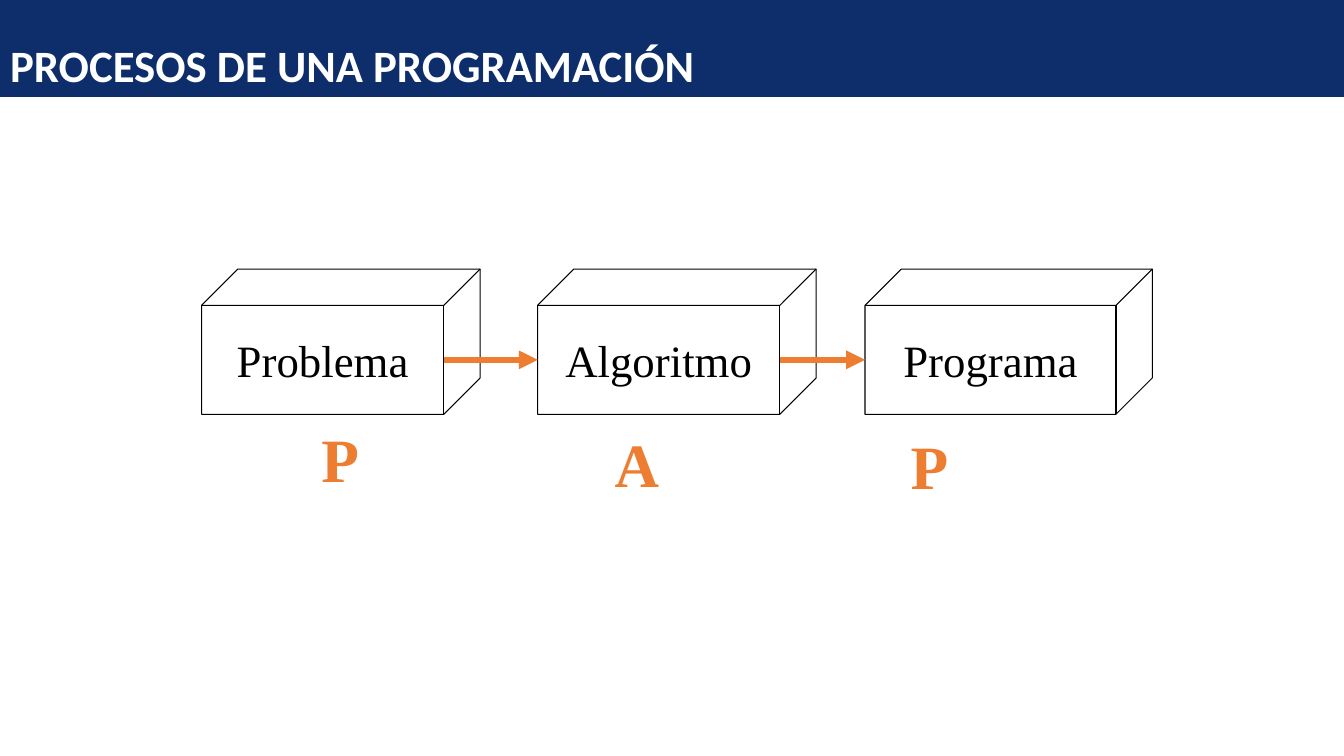
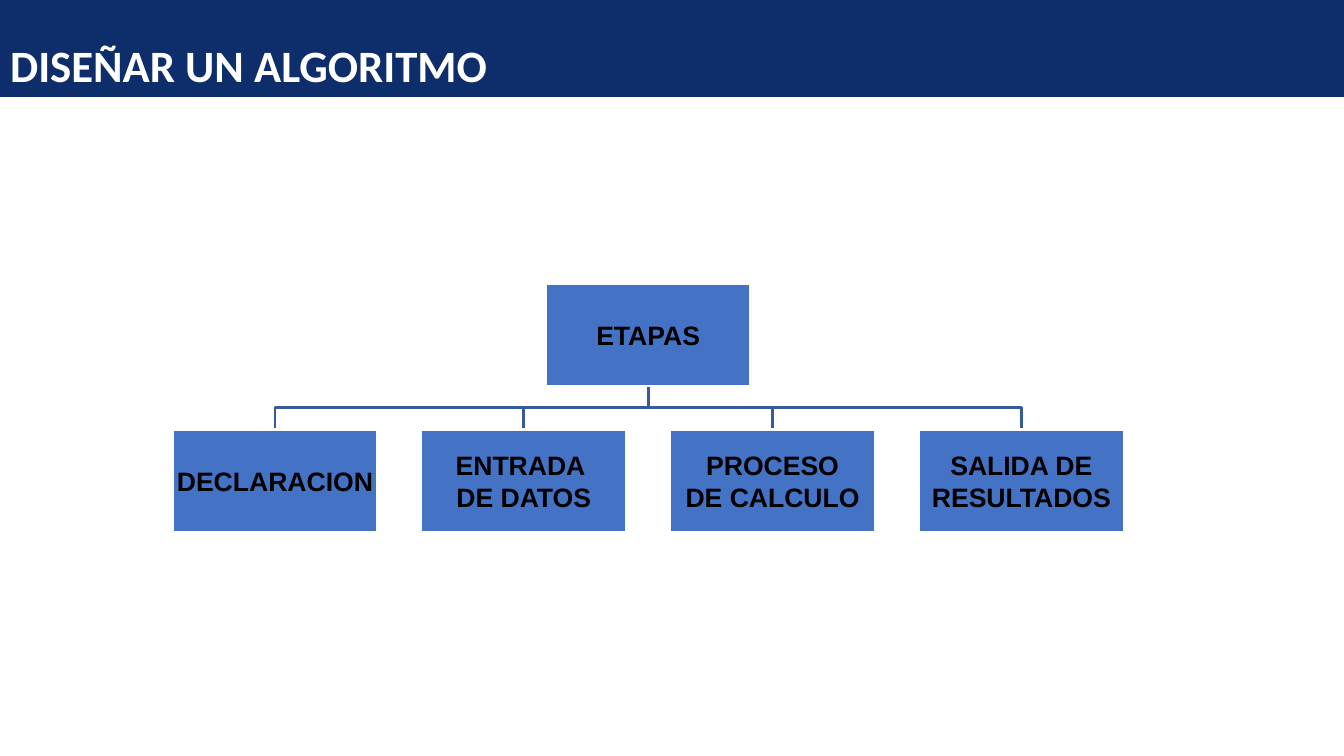
from lxml.etree import SubElement
from pptx import Presentation
from pptx.dml.color import RGBColor
from pptx.enum.shapes import MSO_CONNECTOR as LINE, MSO_SHAPE as SHAPE
from pptx.enum.text import MSO_ANCHOR as ANCHOR, MSO_AUTO_SIZE as FIT, PP_ALIGN as ALIGN
from pptx.oxml.ns import qn
from pptx.util import Cm, Pt

COLORS = {"band": "0D2D6B", "white": "FFFFFF", "black": "000000",
          "accent": "ED7D31", "box": "4472C4", "branch": "365B9D"}

TITLE_FONT = {"name": "Calibri", "size": Pt(32), "bold": True}
CUBE_FONT = {"name": "Times New Roman", "size": Pt(32)}
LETTER_FONT = {"name": "Times New Roman", "size": Pt(44), "bold": True}
STAGE_FONT = {"name": "Arial", "size": Pt(19), "bold": True}

PROCESS_TITLE = "PROCESOS DE UNA PROGRAMACIÓN"
CUBES = [("Problema", 5.08, 7.02), ("Algoritmo", 13.55, 7.02), ("Programa", 21.8, 7.24)]
LETTERS = [("P", 7.85, 10.49, 1.45), ("A", 15.24, 10.6, 1.62), ("P", 22.7, 10.65, 1.45)]
CUBE_TOP, CUBE_H, DEPTH = 6.78, 3.66, 0.25

STAGES_TITLE = "DISEÑAR UN ALGORITMO"
ROOT = ["ETAPAS"]
STAGES = [["DECLARACION"], ["ENTRADA ", "DE DATOS"],
          ["PROCESO", "DE CALCULO"], ["SALIDA DE", "RESULTADOS"]]
BOX_W, BOX_H, PITCH = 5.18, 2.59, 6.27
TREE_LEFT, ROOT_TOP, STAGE_TOP = 4.34, 7.14, 10.82

SLIDE_W, SLIDE_H, BAND_H = 33.87, 19.05, 2.44


def rgb(name):
    return RGBColor.from_string(COLORS[name])


def apply(target, values):
    for key, value in values.items():
        setattr(target, key, value)


def paint(sp, fill=None, line=None, width=1):
    if fill:
        sp.fill.solid()
        sp.fill.fore_color.rgb = rgb(fill)
    else:
        sp.fill.background()
    if line:
        sp.line.color.rgb = rgb(line)
        sp.line.width = Pt(width)
    else:
        sp.line.fill.background()
    sp.shadow.inherit = False


def write(sp, lines, font, color, align=ALIGN.CENTER, frame=None, spacing=None):
    tf = sp.text_frame
    apply(tf, {"vertical_anchor": ANCHOR.MIDDLE, "auto_size": FIT.NONE,
               "word_wrap": True, **(frame or {})})
    for i, line in enumerate(lines):
        p = tf.paragraphs[0] if i == 0 else tf.add_paragraph()
        apply(p, {"alignment": align, "line_spacing": spacing})
        r = p.add_run()
        r.text = line
        apply(r.font, font)
        r.font.color.rgb = rgb(color)


def add_titled(prs, title):
    s = prs.slides.add_slide(prs.slide_layouts[5])
    sp = s.shapes.title
    apply(sp, {"left": Cm(0), "top": Cm(1.12), "width": Cm(33.73), "height": Cm(1.19)})
    write(sp, [title], TITLE_FONT, "white", ALIGN.LEFT, spacing=0.9)
    return s


def add_layout_band(s):
    band = s.shapes.add_shape(SHAPE.RECTANGLE, 0, 0, Cm(SLIDE_W), Cm(BAND_H))
    paint(band, "band")
    s.slide_layout.shapes.element.insert(2, band.element)


def add_arrow(s, x1, x2, y):
    arrow = s.shapes.add_connector(LINE.STRAIGHT, Cm(x1), Cm(y), Cm(x2), Cm(y))
    arrow.line.color.rgb = rgb("accent")
    arrow.line.width = Pt(4.5)
    SubElement(arrow.line._get_or_add_ln(), qn("a:tailEnd"), type="triangle")
    SubElement(arrow.element.spPr, qn("a:effectLst"))


def add_process(s):
    for text, x, w in CUBES:
        sp = s.shapes.add_shape(SHAPE.CUBE, Cm(x), Cm(CUBE_TOP), Cm(w), Cm(CUBE_H))
        sp.adjustments[0] = DEPTH
        paint(sp, line="black", width=0.75)
        write(sp, [text], CUBE_FONT, "black", frame={"word_wrap": False})
    for text, x, y, w in LETTERS:
        sp = s.shapes.add_textbox(Cm(x), Cm(y), Cm(w), Cm(2.11))
        write(sp, [text], LETTER_FONT, "accent", ALIGN.LEFT,
              {"word_wrap": False, "vertical_anchor": ANCHOR.TOP,
               "auto_size": FIT.SHAPE_TO_FIT_TEXT})
    front_middle = CUBE_TOP + CUBE_H * (1 + DEPTH) / 2
    for (_, x, w), (_, next_x, _) in zip(CUBES, CUBES[1:]):
        add_arrow(s, x + w - CUBE_H * DEPTH, next_x, front_middle)


def add_branch(s, x1, y1, x2, y2):
    middle = (y1 + y2) / 2
    points = [(x1, middle), (x2, middle), (x2, y2)]
    builder = s.shapes.build_freeform(Cm(x1), Cm(y1))
    builder.add_line_segments([(Cm(x), Cm(y)) for x, y in points], close=False)
    paint(builder.convert_to_shape(), line="branch", width=2)


def add_box(s, lines, x, y):
    sp = s.shapes.add_shape(SHAPE.RECTANGLE, Cm(x), Cm(y), Cm(BOX_W), Cm(BOX_H))
    paint(sp, "box", "white", 2)
    sides = ("left", "top", "right", "bottom")
    write(sp, lines, STAGE_FONT, "black",
          frame={f"margin_{side}": Cm(0.03) for side in sides})


def add_stages(s):
    lefts = [TREE_LEFT + i * PITCH for i in range(len(STAGES))]
    root_left = (lefts[0] + lefts[-1]) / 2
    half = BOX_W / 2
    for x in lefts:
        add_branch(s, root_left + half, ROOT_TOP + BOX_H, x + half, STAGE_TOP)
    add_box(s, ROOT, root_left, ROOT_TOP)
    for lines, x in zip(STAGES, lefts):
        add_box(s, lines, x, STAGE_TOP)


def main():
    prs = Presentation()
    apply(prs, {"slide_width": Cm(SLIDE_W), "slide_height": Cm(SLIDE_H)})
    process = add_titled(prs, PROCESS_TITLE)
    add_layout_band(process)
    add_process(process)
    add_stages(add_titled(prs, STAGES_TITLE))
    prs.save("out.pptx")


if __name__ == "__main__":
    main()
